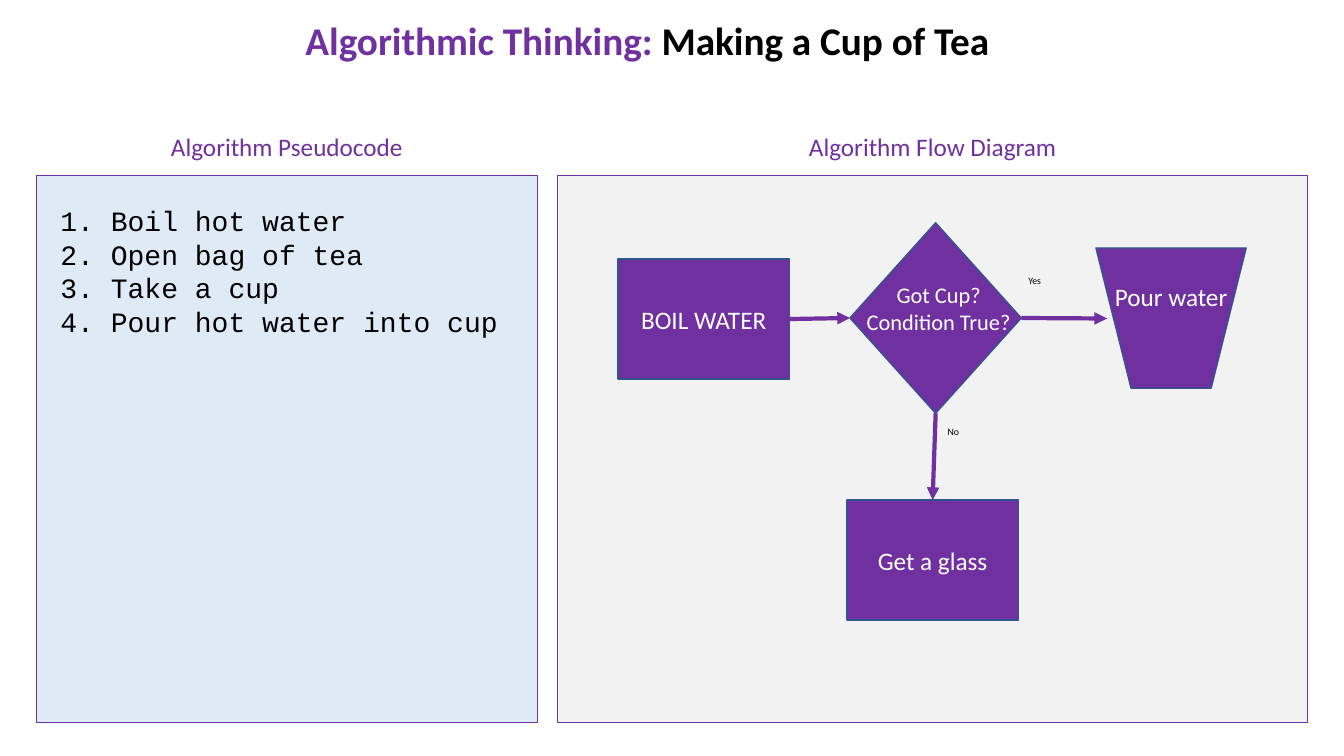
"""Build the slide on algorithmic thinking with pseudocode and a flow diagram."""
from lxml import etree
from pptx import Presentation
from pptx.dml.color import RGBColor
from pptx.enum.shapes import MSO_CONNECTOR, MSO_SHAPE
from pptx.enum.text import MSO_ANCHOR, PP_ALIGN
from pptx.oxml.ns import qn
from pptx.util import Inches, Pt

RECT = MSO_SHAPE.RECTANGLE
PROCESS = MSO_SHAPE.FLOWCHART_PROCESS
DECISION = MSO_SHAPE.FLOWCHART_DECISION
TRAPEZOID = MSO_SHAPE.TRAPEZOID
STRAIGHT = MSO_CONNECTOR.STRAIGHT
LEFT, CENTER = PP_ALIGN.LEFT, PP_ALIGN.CENTER
MIDDLE = MSO_ANCHOR.MIDDLE
TOP_SITE, LEFT_SITE, BOTTOM_SITE, RIGHT_SITE = range(4)

COLORS = {
    "purple": "7030A0",
    "edge": "325491",
    "blue": "DEEBF7",
    "gray": "F2F2F2",
    "black": "000000",
    "white": "FFFFFF",
}
STEPS = [
    "1. Boil hot water",
    "2. Open bag of tea",
    "3. Take a cup",
    "4. Pour hot water into cup",
]
PANEL_TOP, PANEL_HEIGHT = 1.74, 5.43
LABEL_TOP, LABEL_WIDTH, LABEL_HEIGHT = 1.25, 2.79, 0.4


def rgb(name):
    """Return the named colour."""
    return RGBColor.from_string(COLORS[name])


def add_run(para, text, size, color, font="Calibri", bold=False):
    """Add one styled run to a paragraph."""
    run = para.add_run()
    run.text = text
    run.font.name = font
    run.font.size = Pt(size)
    run.font.bold = bold
    run.font.color.rgb = rgb(color)


def add_text(slide, box, lines, size, color, align=CENTER, font="Calibri"):
    """Add a wrapping text box with one paragraph per line."""
    frame = slide.shapes.add_textbox(*map(Inches, box)).text_frame
    frame.word_wrap = True
    for index, line in enumerate(lines):
        para = frame.add_paragraph() if index else frame.paragraphs[0]
        para.alignment = align
        add_run(para, line, size, color, font)


def add_title(slide):
    """Add the two-colour title."""
    box = slide.shapes.add_textbox(Inches(0.92), Inches(0.11), Inches(11), Inches(0.57))
    box.text_frame.word_wrap = True
    para = box.text_frame.paragraphs[0]
    para.alignment = CENTER
    add_run(para, "Algorithmic Thinking: ", 28, "purple", bold=True)
    add_run(para, "Making a Cup of Tea", 28, "black", bold=True)


def add_node(slide, kind, box, fill="purple", line="edge", text=None):
    """Add a filled shape, with centred white text if given."""
    node = slide.shapes.add_shape(kind, *map(Inches, box))
    node.shadow.inherit = False
    node.fill.solid()
    node.fill.fore_color.rgb = rgb(fill)
    node.line.color.rgb = rgb(line)
    node.line.width = Pt(1)
    if text:
        node.text_frame.vertical_anchor = MIDDLE
        para = node.text_frame.paragraphs[0]
        para.alignment = CENTER
        add_run(para, text, 18, "white")
    return node


def add_panel(slide, left, width, fill, label):
    """Add a panel with its label centred above it."""
    label_left = left + (width - LABEL_WIDTH) / 2
    add_text(slide, (label_left, LABEL_TOP, LABEL_WIDTH, LABEL_HEIGHT), [label], 18, "purple")
    add_node(slide, RECT, (left, PANEL_TOP, width, PANEL_HEIGHT), fill, "purple")


def add_arrow(slide, start, end):
    """Add a purple arrow between two points."""
    arrow = slide.shapes.add_connector(STRAIGHT, *map(Inches, start + end))
    arrow.line.color.rgb = rgb("purple")
    arrow.line.width = Pt(3)
    etree.SubElement(arrow.line._get_or_add_ln(), qn("a:tailEnd"), type="triangle")
    etree.SubElement(arrow._element.spPr, qn("a:effectLst"))
    return arrow


def add_flow(slide):
    """Add the nodes, arrows and labels of the flow diagram."""
    boil = add_node(slide, PROCESS, (6.13, 2.57, 1.7, 1.19), text="BOIL WATER")
    check = add_node(slide, DECISION, (8.43, 2.21, 1.7, 1.89))
    glass = add_node(slide, PROCESS, (8.4, 4.96, 1.7, 1.19), text="Get a glass")
    pour = add_node(slide, TRAPEZOID, (10.87, 2.46, 1.49, 1.39))
    pour.rotation = 180

    to_check = add_arrow(slide, (7.83, 3.16), (8.43, 3.16))
    to_check.begin_connect(boil, RIGHT_SITE)
    to_check.end_connect(check, LEFT_SITE)
    to_pour = add_arrow(slide, (10.13, 3.16), (10.98, 3.16))
    to_pour.begin_connect(check, RIGHT_SITE)
    to_glass = add_arrow(slide, (9.28, 4.1), (9.25, 4.96))
    to_glass.begin_connect(check, BOTTOM_SITE)
    to_glass.end_connect(glass, TOP_SITE)

    add_text(slide, (10.87, 2.74, 1.49, 0.4), ["Pour water"], 18, "white")
    add_text(slide, (8.46, 2.74, 1.7, 0.64), ["Got Cup? Condition True?"], 16, "white")
    add_text(slide, (10.1, 2.68, 0.68, 0.58), ["Yes"], 7, "black", LEFT)
    add_text(slide, (9.3, 4.17, 0.71, 0.58), ["No"], 7, "black", LEFT)


def main():
    """Build and save the slide."""
    deck = Presentation()
    deck.slide_width, deck.slide_height = Inches(13.33), Inches(7.5)
    slide = deck.slides.add_slide(deck.slide_layouts[6])
    add_title(slide)
    add_panel(slide, 0.36, 4.97, "blue", "Algorithm Pseudocode")
    add_panel(slide, 5.53, 7.44, "gray", "Algorithm Flow Diagram")
    add_text(slide, (0.5, 1.97, 4.69, 1.45), STEPS, 20, "black", LEFT, "Courier New")
    add_flow(slide)
    deck.save("out.pptx")


if __name__ == "__main__":
    main()
